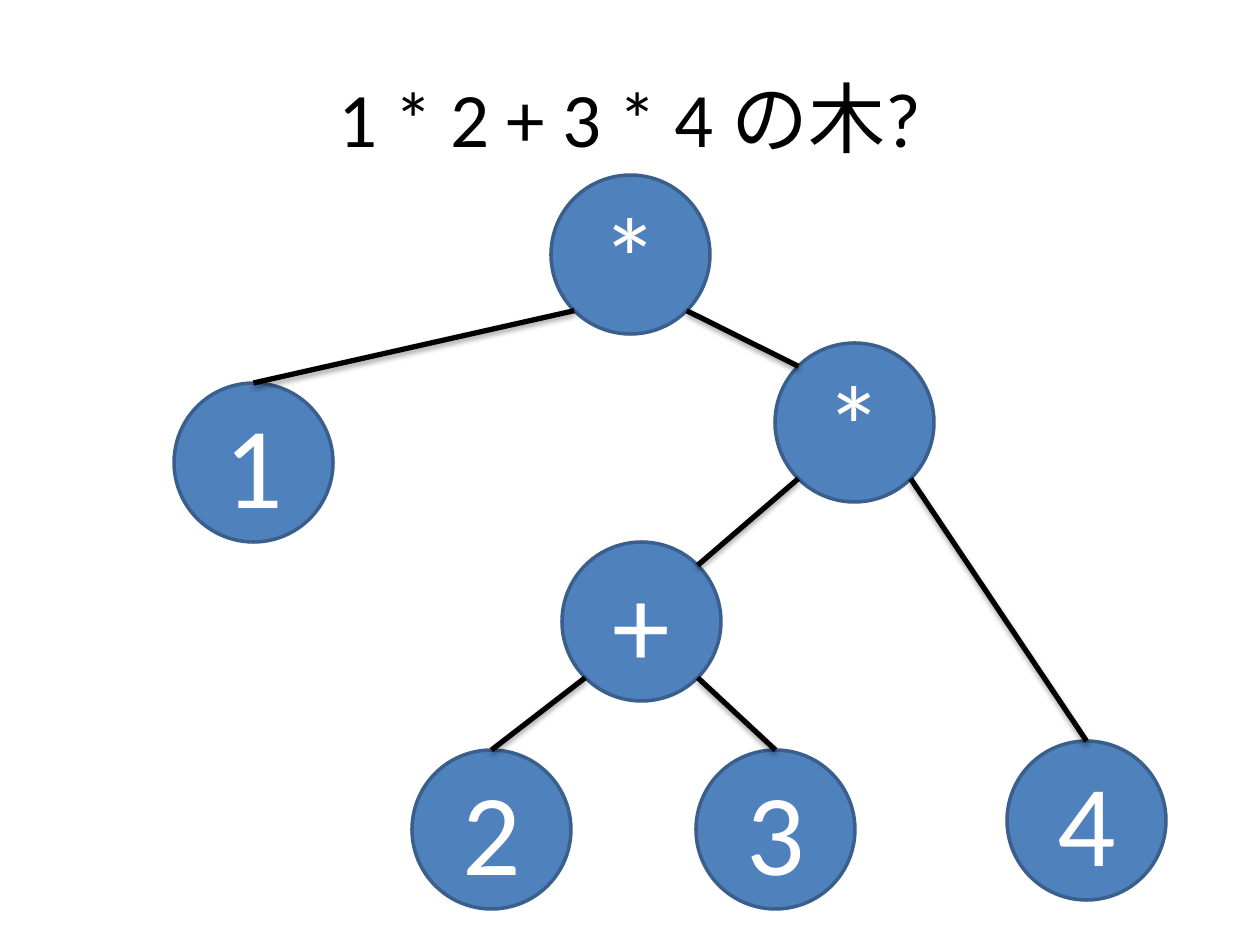
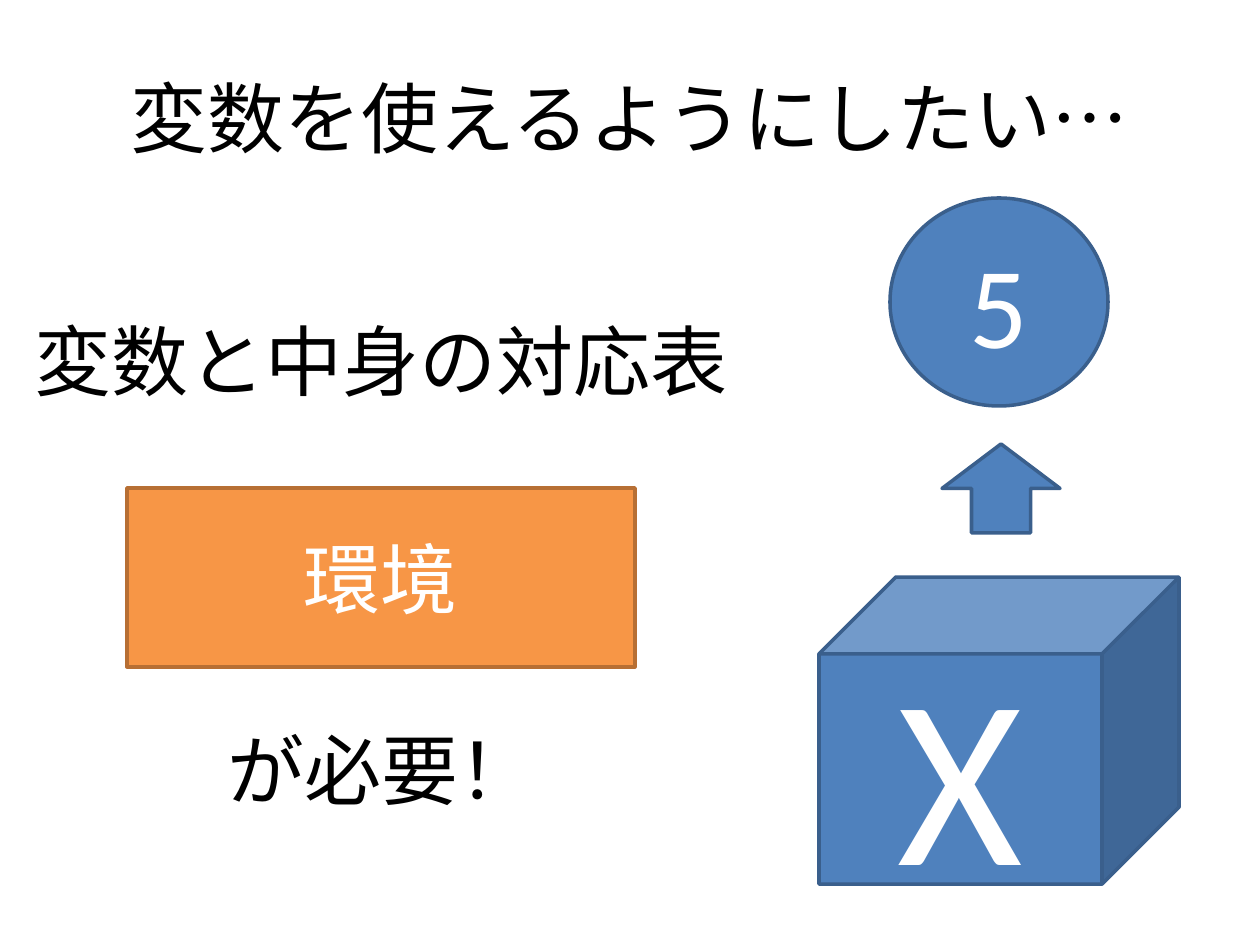
from math import sqrt

from lxml import etree
from pptx import Presentation
from pptx.dml import color
from pptx.enum import shapes, text
from pptx.oxml import ns
from pptx.util import Pt

SCALE = 914400 / 126
HEX = {"blue": "4F81BD", "navy": "3A5F8C", "orange": "F79646",
       "brown": "B76F34", "black": "000000", "white": "FFFFFF"}
RGB = {name: color.RGBColor.from_string(code) for name, code in HEX.items()}
FORMS = shapes.MSO_SHAPE
SHADOW = ('<a:effectLst %s><a:outerShdw blurRad="40000" dist="23000" '
          'dir="5400000" rotWithShape="0"><a:srgbClr val="%s">'
          '<a:alpha val="35000"/></a:srgbClr></a:outerShdw></a:effectLst>'
          % (ns.nsdecls("a"), HEX["black"]))


def write(shape, words, size=44, ink="black"):
    """Put one centred line of text in a shape."""
    frame = shape.text_frame
    frame.word_wrap = True
    frame.vertical_anchor = text.MSO_ANCHOR.MIDDLE
    line = frame.paragraphs[0]
    line.alignment = text.PP_ALIGN.CENTER
    run = line.add_run()
    run.text = words
    for key, value in {"name": "Calibri", "size": Pt(size)}.items():
        setattr(run.font, key, value)
    run.font.color.rgb = RGB[ink]


def draw(slide, form, box, words="", size=66, fill="blue", edge="navy"):
    """Add a filled, outlined shape with white text."""
    shape = slide.shapes.add_shape(form, *[round(v * SCALE) for v in box])
    shape.shadow.inherit = False
    shape.fill.solid()
    shape.fill.fore_color.rgb = RGB[fill]
    shape.line.color.rgb = RGB[edge]
    shape.line.width = Pt(2)
    if words:
        write(shape, words, size, "white")


deck = Presentation()
deck.slide_width, deck.slide_height = round(1260 * SCALE), round(945 * SCALE)
pages = []
for title in ("1 * 2 + 3 * 4 の木?", "変数を使えるようにしたい…"):
    page = deck.slides.add_slide(deck.slide_layouts[5])
    head = page.shapes.title
    for key, value in {"left": 63, "top": 38, "width": 1134, "height": 157}.items():
        setattr(head, key, round(value * SCALE))
    write(head, title)
    pages.append(page)
tree, scope = pages

# Slide 1: each node has its sign and its left and top
SIDE = 159
nodes = {"one": ("1", 174, 383), "right": ("*", 775, 343),
         "root": ("*", 551, 175), "plus": ("+", 562, 542),
         "four": ("4", 1007, 741), "three": ("3", 696, 750),
         "two": ("2", 412, 750)}
for sign, left, top in nodes.values():
    draw(tree, FORMS.OVAL, (left, top, SIDE, SIDE), sign)

# Edges leave at a lower diagonal; they reach a number at its top
# and an operator at the upper diagonal that faces the parent.
half = SIDE / 2
slant = half / sqrt(2)
for parent, child in (("root", "one"), ("root", "right"), ("right", "plus"),
                      ("plus", "two"), ("plus", "three"), ("right", "four")):
    _, left, top = nodes[parent]
    sign, low, down = nodes[child]
    way = 1 if low > left else -1
    reach, rise = (0, half) if sign.isdigit() else (-way * slant, slant)
    ends = (left + half + way * slant, top + half + slant,
            low + half + reach, down + half - rise)
    edge = tree.shapes.add_connector(
        shapes.MSO_CONNECTOR.STRAIGHT, *[round(v * SCALE) for v in ends])
    edge.line.color.rgb = RGB["black"]
    edge.line.width = Pt(3)
    edge._element.spPr.append(etree.fromstring(SHADOW))

# Slide 2: a variable holds a value, and the environment maps them
draw(scope, FORMS.CUBE, (819, 577, 360, 307), "X", 138)
draw(scope, FORMS.OVAL, (890, 198, 218, 208), "5")
draw(scope, FORMS.UP_ARROW, (942, 444, 118, 89))
draw(scope, FORMS.RECTANGLE, (127, 488, 508, 179), "環境", 44, "orange", "brown")
for top, words in ((281, "変数と中身の対応表"), (690, "が必要！")):
    box = [round(v * SCALE) for v in (-101, top, 965, 157)]
    write(scope.shapes.add_textbox(*box), words)

deck.save("out.pptx")
